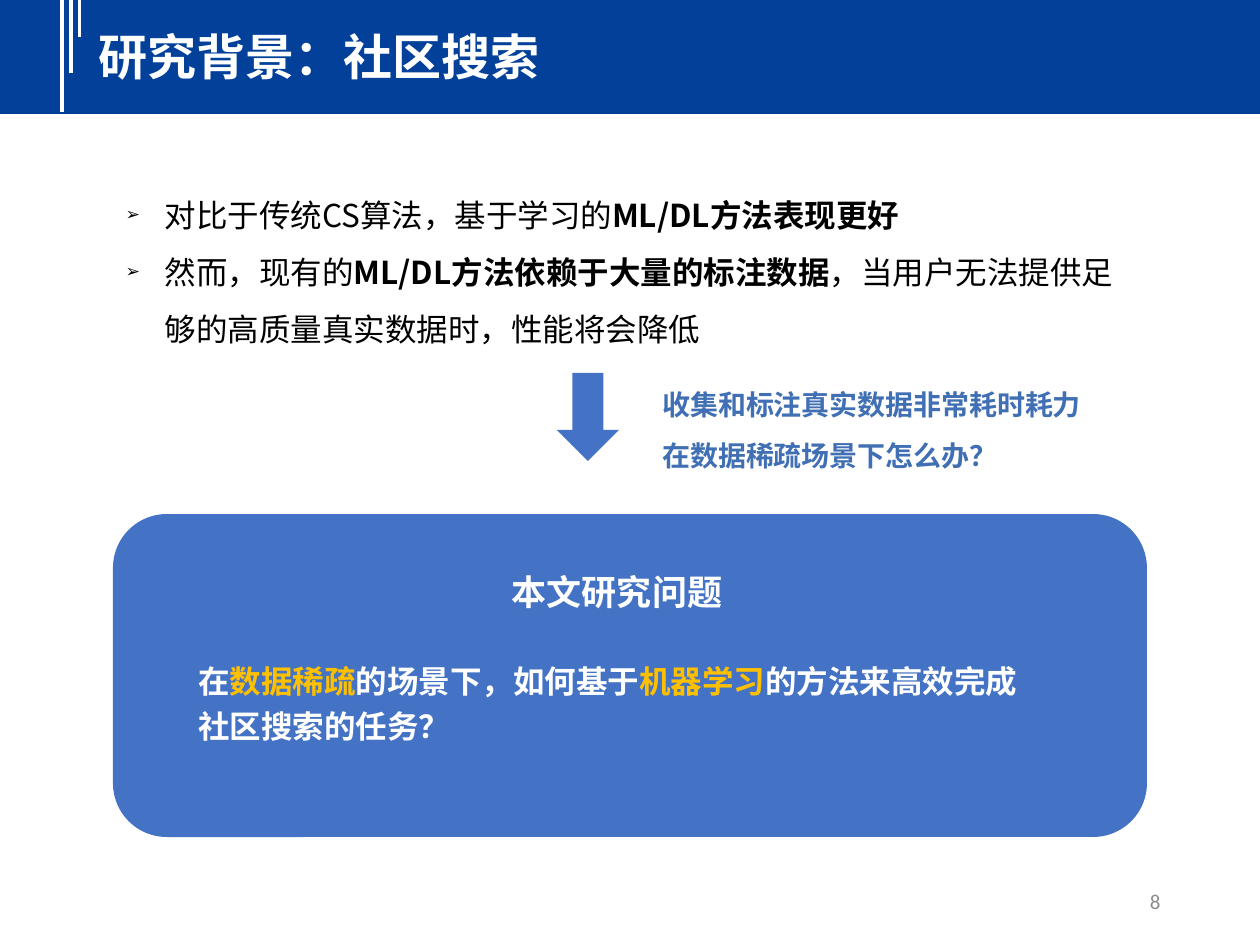
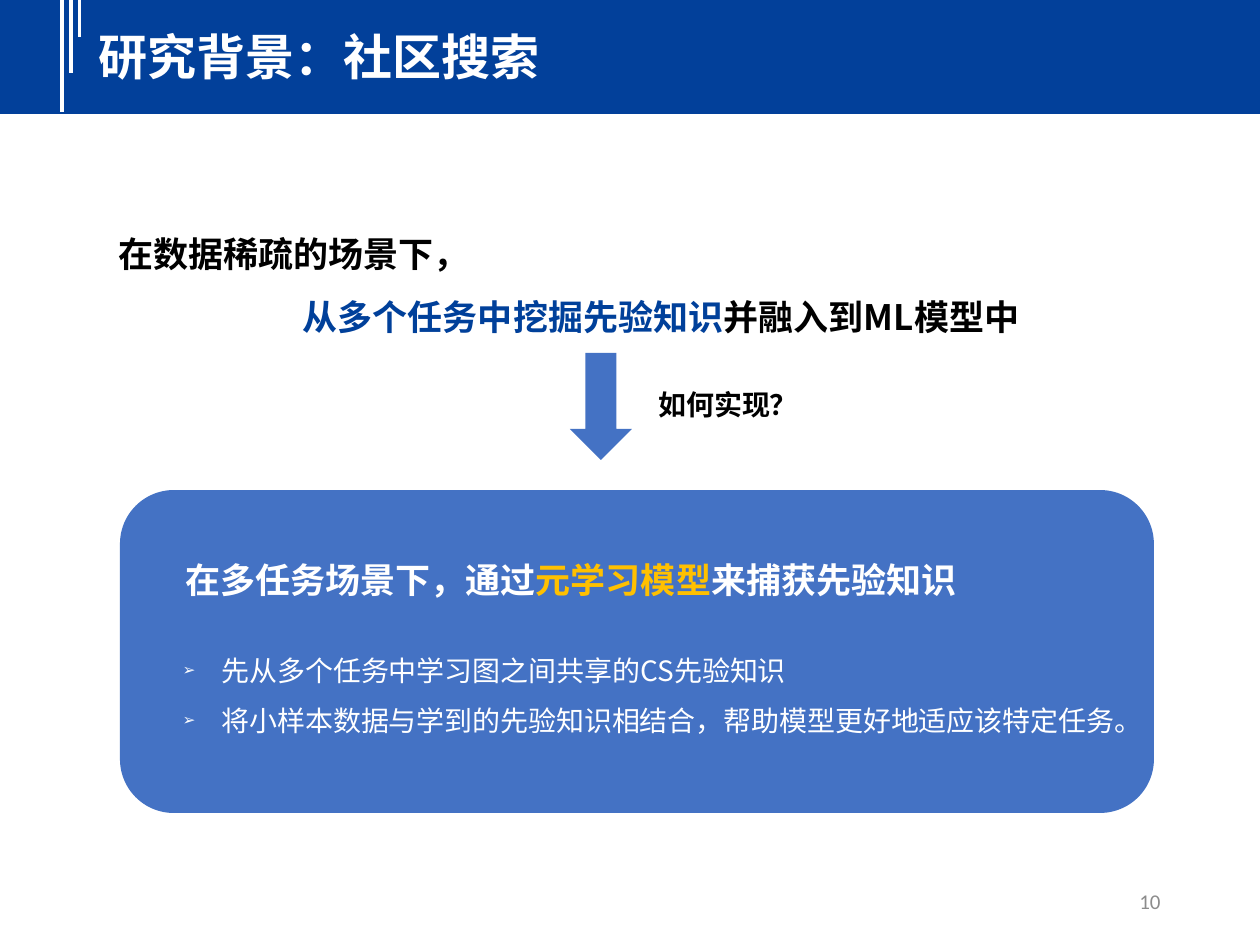
import lxml.etree
import pptx
import pptx.dml.color
import pptx.enum.shapes
import pptx.enum.text
import pptx.oxml.ns
import pptx.util

EMU_PER_PX = 914400 / 126
SLIDE_WIDTH, SLIDE_HEIGHT = 1260, 945
CARD_WIDTH, CARD_HEIGHT = 1034, 323
BULLET_INDENT = 39

CJK_FONT = "Noto Sans CJK SC"
WHITE, BLACK, GREY = "FFFFFF", "000000", "8C8C8C"
BAND_BLUE, DEEP_BLUE = "02409A", "00409A"
CARD_BLUE, QUESTION_BLUE = "4472C4", "406FB3"
GOLD = "FFC000"

SHAPES = pptx.enum.shapes.MSO_SHAPE
ALIGN = pptx.enum.text.PP_ALIGN
ANCHOR = pptx.enum.text.MSO_ANCHOR


def px(length):
    return pptx.util.Emu(round(length * EMU_PER_PX))


def rgb(color):
    return pptx.dml.color.RGBColor.from_string(color)


def add_xml(parent, tag, **attributes):
    return lxml.etree.SubElement(parent, pptx.oxml.ns.qn(tag), **attributes)


def add_bullet(paragraph):
    properties = paragraph._p.get_or_add_pPr()
    properties.set("marL", str(px(BULLET_INDENT)))
    properties.set("indent", str(-px(BULLET_INDENT)))
    add_xml(properties, "a:buSzPct", val="55000")
    add_xml(properties, "a:buChar", char="➢")


def add_text(paragraph, text, size=16, color=BLACK, bold=False, font=CJK_FONT):
    run = paragraph.add_run()
    run.text = text
    run.font.size = pptx.util.Pt(size)
    run.font.bold = bold
    run.font.name = font
    run.font.color.rgb = rgb(color)
    properties = run.font._element
    properties.set("lang", "zh-CN")
    add_xml(properties, "a:ea", typeface=font)


def write(holder, *runs, more=False, align=ALIGN.LEFT, spacing=1.0, before=0,
          bullet=False, anchor=ANCHOR.TOP, **text_format):
    frame = holder.text_frame
    frame.word_wrap = True
    frame.auto_size = pptx.enum.text.MSO_AUTO_SIZE.NONE
    frame.vertical_anchor = anchor
    paragraph = frame.add_paragraph() if more else frame.paragraphs[0]
    if bullet:
        add_bullet(paragraph)
    paragraph.alignment = align
    paragraph.line_spacing = spacing
    paragraph.space_before = pptx.util.Pt(before)
    for text, changes in runs:
        add_text(paragraph, text, **{**text_format, **changes})


def add_label(slide, left, top, width, height):
    return slide.shapes.add_textbox(px(left), px(top), px(width), px(height))


def add_block(slide, kind, left, top, width, height, color):
    block = slide.shapes.add_shape(kind, px(left), px(top), px(width), px(height))
    block.shadow.inherit = False
    block.fill.solid()
    block.fill.fore_color.rgb = rgb(color)
    block.line.fill.background()


def place_on_top(placeholder, left, top, width, height):
    placeholder.left, placeholder.top = px(left), px(top)
    placeholder.width, placeholder.height = px(width), px(height)
    placeholder.element.getparent().append(placeholder.element)
    return placeholder


def add_header(slide, heading, top=-4):
    add_block(slide, SHAPES.RECTANGLE, 0, top, SLIDE_WIDTH, 118, BAND_BLUE)
    for position, length in enumerate((116, 77, 41)):
        x = px(62 + 8.75 * position)
        stripe = slide.shapes.add_connector(
            pptx.enum.shapes.MSO_CONNECTOR.STRAIGHT, x, px(top), x, px(top + length))
        stripe.line.color.rgb = rgb(WHITE)
        stripe.line.width = pptx.util.Pt(2.25)
        add_xml(stripe.element.spPr, "a:effectLst")
    title = place_on_top(slide.shapes.title, 86, top + 24, 1174, 72)
    write(title, (heading, {}), size=28, color=WHITE, bold=True)


def add_page_number(slide, number):
    write(add_label(slide, 890, 876, 283, 50), (number, {}), size=12, color=GREY,
          font="Calibri", align=ALIGN.RIGHT, anchor=ANCHOR.MIDDLE)


def add_list(slide, left, top, width, height, items, **text_format):
    body = place_on_top(slide.placeholders[1], left, top, width, height)
    for position, runs in enumerate(items):
        write(body, *runs, more=position > 0, bullet=True, spacing=1.5, **text_format)


def add_arrow(slide, left, top, height):
    add_block(slide, SHAPES.DOWN_ARROW, left, top, 62, height, CARD_BLUE)


def add_card(slide, left, top):
    add_block(slide, SHAPES.ROUNDED_RECTANGLE, left, top, CARD_WIDTH, CARD_HEIGHT, CARD_BLUE)


def add_scarcity_question(slide, left, top):
    add_arrow(slide, left, top, 88)
    style = dict(size=16, color=QUESTION_BLUE, bold=True)
    write(add_label(slide, left + 93, top + 8, 523, 47),
          ("收集和标注真实数据非常耗时耗力", {}), **style)
    write(add_label(slide, left + 93, top + 43, 445, 58),
          ("在数据稀疏场景下怎么办？", {}), spacing=1.5, **style)


def add_problem_card(slide, left, top):
    add_card(slide, left, top)
    problem = add_label(slide, left + 73, top + 50, 862, 185)
    style = dict(color=WHITE, bold=True)
    write(problem, ("本文研究问题", {}), size=20, align=ALIGN.CENTER, **style)
    write(problem, ("在", {}), ("数据稀疏", {"color": GOLD}),
          ("的场景下，如何基于", {}), ("机器学习", {"color": GOLD}),
          ("的方法来高效完成社区搜索的任务？", {}),
          more=True, size=18, spacing=1.2, before=24, **style)


def add_claim(slide, left, top):
    claim = add_label(slide, left, top, 1110, 132)
    style = dict(size=20, bold=True, spacing=1.5)
    write(claim, ("在数据稀疏的场景下，", {}), **style)
    write(claim, ("从多个任务中挖掘先验知识", {"color": DEEP_BLUE}),
          ("并融入到ML模型中", {}), more=True, align=ALIGN.CENTER, **style)


def add_how_question(slide, left, top):
    add_arrow(slide, left, top, 107)
    write(add_label(slide, left + 76, top + 12, 455, 58), ("如何实现？", {}),
          size=16, bold=True, spacing=1.5)


def add_meta_learning_card(slide, left, top):
    add_card(slide, left, top)
    write(add_label(slide, left + 34, top + 62, 834, 55),
          ("在多任务场景下，通过", {}), ("元学习模型", {"color": GOLD}),
          ("来捕获先验知识", {}),
          size=20, color=WHITE, bold=True, align=ALIGN.CENTER)
    steps = [
        [("先从多个任务中学习图之间共享的CS先验知识", {})],
        [("将小样本数据与学到的先验知识相结合，帮助模型更好地适应该特定任务。", {})],
    ]
    add_list(slide, left + 50, top + 140, 961, 108, steps, size=16, color=WHITE)


def start_slide(deck, number):
    slide = deck.slides.add_slide(deck.slide_layouts[1])
    add_header(slide, "研究背景：社区搜索")
    add_page_number(slide, number)
    return slide


def build_problem_slide(deck):
    slide = start_slide(deck, "8")
    findings = [
        [("对比于传统CS算法，基于学习的", {}), ("ML/DL方法表现更好", {"bold": True})],
        [("然而，现有的", {}), ("ML/DL方法依赖于大量的标注数据", {"bold": True}),
         ("，当用户无法提供足够的高质量真实数据时，性能将会降低", {})],
    ]
    add_list(slide, 113, 171, CARD_WIDTH, 178, findings, size=18)
    add_scarcity_question(slide, 557, 373)
    add_problem_card(slide, 113, 514)


def build_approach_slide(deck):
    slide = start_slide(deck, "10")
    add_claim(slide, 106, 205)
    add_how_question(slide, 570, 353)
    add_meta_learning_card(slide, 120, 490)


def main():
    deck = pptx.Presentation()
    deck.slide_width, deck.slide_height = px(SLIDE_WIDTH), px(SLIDE_HEIGHT)
    build_problem_slide(deck)
    build_approach_slide(deck)
    deck.save("out.pptx")


if __name__ == "__main__":
    main()
